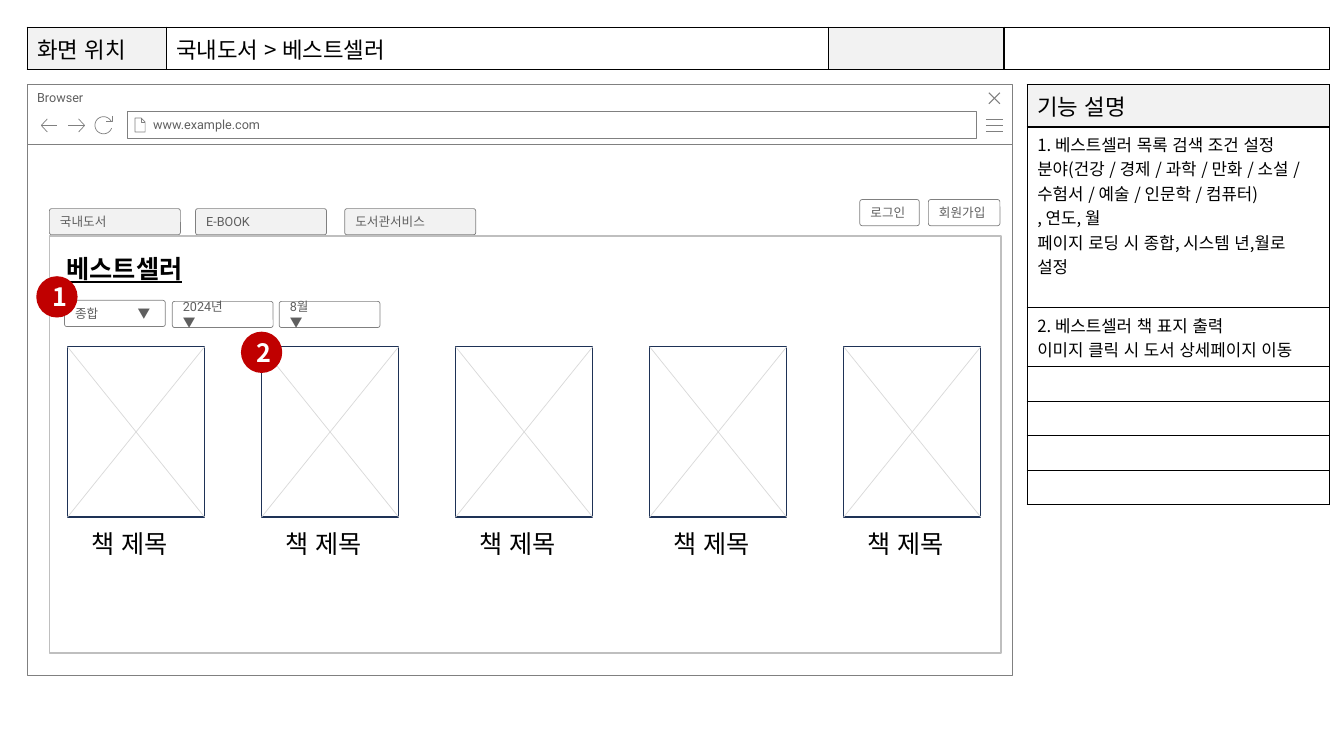
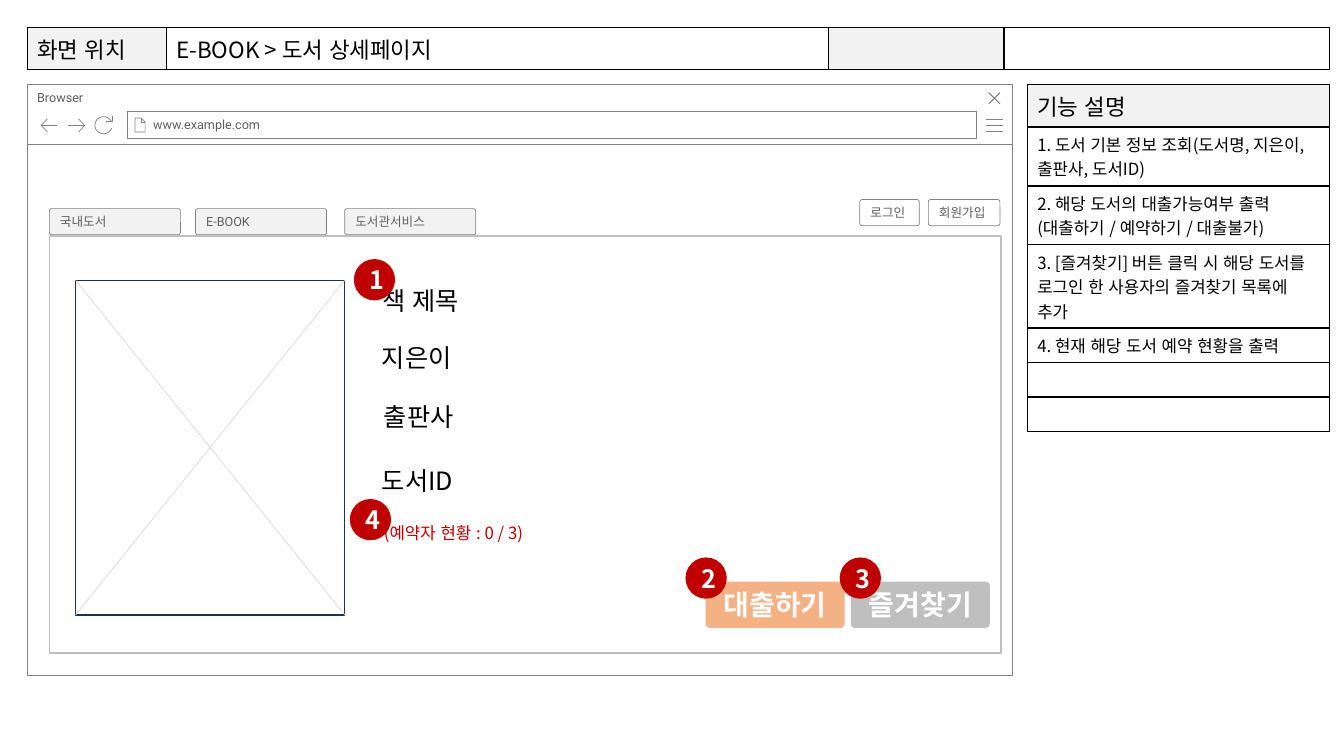
from math import cos, radians, sin

from lxml import etree
from pptx import Presentation
from pptx.dml.color import RGBColor
from pptx.enum.lang import MSO_LANGUAGE_ID
from pptx.enum.shapes import MSO_CONNECTOR, MSO_SHAPE
from pptx.enum.text import MSO_ANCHOR, MSO_AUTO_SIZE, PP_ALIGN
from pptx.oxml.ns import qn
from pptx.util import Inches, Pt

RECT = MSO_SHAPE.RECTANGLE
ROUND = MSO_SHAPE.ROUNDED_RECTANGLE
OVAL = MSO_SHAPE.OVAL
LINE = MSO_CONNECTOR.STRAIGHT
TOP = MSO_ANCHOR.TOP
MIDDLE = MSO_ANCHOR.MIDDLE
LEFT = PP_ALIGN.LEFT
CENTER = PP_ALIGN.CENTER
FIXED = MSO_AUTO_SIZE.NONE
KOREAN = MSO_LANGUAGE_ID.KOREAN

COLORS = {
    "ink": "000000", "white": "FFFFFF", "gray": "5F5F5F", "edge": "808080",
    "pale": "F2F2F2", "frame": "BFBFBF", "cross": "D9D9D9", "navy": "1E3256",
    "red": "C00000", "peach": "F4B183",
}
SANS = "Noto Sans CJK KR"
WEB = "Roboto"
TABLE_TOP = 8.4
HEAD_ROW = 4.2
TEXT_ROW = 2.42


def color(name):
    return RGBColor.from_string(COLORS[name])


def grid(cells):
    return Inches(cells / 10)


class Deck:
    def __init__(self):
        self.show = Presentation()
        self.show.slide_width = grid(133.33)
        self.show.slide_height = grid(75)
        self.shapes = None

    def fill_text(self, frame, text, size=9, ink="gray", face=WEB, bold=False,
                  under=False, align=LEFT, anchor=MIDDLE):
        frame.word_wrap = True
        frame.auto_size = FIXED
        frame.vertical_anchor = anchor
        self.style(frame.paragraphs[0], text, size, ink, face, bold, under, align)

    def style(self, para, text, size, ink="ink", face=SANS, bold=False,
              under=False, align=LEFT):
        para.text = text
        para.alignment = align
        font = para.font
        font.size, font.name = Pt(size), face
        font.bold, font.underline = bold, under
        font.language_id = KOREAN
        font.color.rgb = color(ink)
        base = para._p.pPr.find(qn("a:defRPr"))
        etree.SubElement(base, qn("a:ea"), typeface=SANS)
        if not text:
            etree.SubElement(para._p, qn("a:endParaRPr"), sz=str(size * 100))

    def paint(self, shape, fill=None, line=None, width=0.5):
        shape.shadow.inherit = False
        if fill:
            shape.fill.solid()
            shape.fill.fore_color.rgb = color(fill)
        else:
            shape.fill.background()
        if line:
            shape.line.color.rgb = color(line)
            shape.line.width = Pt(width)
        else:
            shape.line.fill.background()

    def box(self, x, y, w, h, fill=None, line="edge", width=0.5, kind=RECT):
        shape = self.shapes.add_shape(kind, grid(x), grid(y), grid(w), grid(h))
        self.paint(shape, fill, line, width)
        if kind == ROUND:
            shape.adjustments[0] = 0.09
        return shape

    def button(self, x, y, w, text, fill="white", h=2.6, line="edge", **style):
        shape = self.box(x, y, w, h, fill, line, kind=ROUND)
        self.fill_text(shape.text_frame, text, **style)
        return shape

    def pick(self, x, y, text, stop=None):
        shape = self.button(x, y, 10, text)
        if stop:
            props = shape.text_frame.paragraphs[0]._p.pPr
            tabs = etree.Element(qn("a:tabLst"))
            etree.SubElement(tabs, qn("a:tab"), pos=str(grid(stop)), algn="l")
            props.insert(0, tabs)

    def badge(self, x, y, num):
        shape = self.box(x, y, 4.1, 4.1, "red", None, kind=OVAL)
        self.fill_text(shape.text_frame, str(num), 18, "white", SANS, True,
                       align=CENTER)

    def label(self, x, y, w, text, size=18, ink="ink", h=4):
        shape = self.shapes.add_textbox(grid(x), grid(y), grid(w), grid(h))
        self.fill_text(shape.text_frame, text, size, ink, SANS, anchor=TOP)

    def title(self, x, y, w, text, **style):
        shape = self.shapes.title
        shape.element.getparent().append(shape.element)
        shape.left, shape.top = grid(x), grid(y)
        shape.width, shape.height = grid(w), grid(4)
        self.fill_text(shape.text_frame, text, 18, "ink", SANS, anchor=TOP, **style)

    def cover(self, x, y, w, h):
        self.box(x, y, w, h, line="navy", width=1)
        for start, end in ((x, x + w), (x + w, x)):
            line = self.shapes.add_connector(
                LINE, grid(start), grid(y), grid(end), grid(y + h))
            line.line.color.rgb = color("cross")
            line.line.width = Pt(0.5)
            etree.SubElement(line._element.spPr, qn("a:effectLst"))

    def icon(self, *strokes, close=False, width=0.5):
        strokes = [[(grid(x), grid(y)) for x, y in stroke] for stroke in strokes]
        pen = self.shapes.build_freeform(*strokes[0][0])
        for num, stroke in enumerate(strokes):
            if num:
                pen.move_to(*stroke[0])
            pen.add_line_segments(stroke[1:], close=close and num == 0)
        self.paint(pen.convert_to_shape(), line="edge", width=width)

    def table(self, x, y, cols, rows, cells, shade):
        table = self.shapes.add_table(
            len(rows), len(cols), grid(x), grid(y),
            grid(sum(cols)), grid(sum(rows))).table
        table.first_row = table.horz_banding = False
        for col, size in zip(table.columns, cols):
            col.width = grid(size)
        for row, size in zip(table.rows, rows):
            row.height = grid(size)
        for num, (cell, (text, size)) in enumerate(zip(table.iter_cells(), cells)):
            self.style(cell.text_frame.paragraphs[0], text, size)
            props = cell._tc.get_or_add_tcPr()
            for side in ("lnL", "lnR", "lnT", "lnB"):
                line = etree.SubElement(props, qn("a:" + side), w=str(Pt(1)))
                fill = etree.SubElement(line, qn("a:solidFill"))
                etree.SubElement(fill, qn("a:srgbClr"), val=COLORS["ink"])
            cell.fill.solid()
            cell.fill.fore_color.rgb = color("pale" if num in shade else "white")

    def browser(self):
        self.box(2.7, 14.3, 97.7, 52.7, "white")
        bar = self.box(2.7, 8.4, 97.7, 5.9, "white").text_frame
        self.fill_text(bar, "Browser", anchor=TOP)
        self.icon(*[[(97.8, y), (99.5, y)] for y in (11.8, 12.4, 13)])
        self.icon([(99.2, 9.2), (98.1, 10.3)], [(98.1, 9.2), (99.2, 10.3)], width=0.75)
        field = self.box(12.6, 11.1, 84.3, 2.6, "white").text_frame
        self.fill_text(field, "www.example.com")
        field.margin_left = grid(2.6)
        self.icon([(13.4, 11.7), (13.4, 13.1), (14.4, 13.1), (14.4, 12.1), (14, 11.7)],
                  [(14, 11.7), (14, 12.1), (14.4, 12.1)], close=True)
        for tip, turn, tail in ((4.1, 4.7, 5.7), (8.4, 7.8, 6.7)):
            self.icon([(turn, 13.1), (tip, 12.45), (turn, 11.8)],
                      [(tip, 12.45), (tail, 12.45)])
        arc = [(10.27 + 0.85 * cos(radians(a)), 12.43 + 0.85 * sin(radians(a)))
               for a in range(20, 331, 10)]
        self.icon([(11.1, 11.5), (11.1, 12), (10.5, 12)], arc)

    def page(self, place, notes):
        layout = self.show.slide_layouts[5]
        self.shapes = self.show.slides.add_slide(layout).shapes
        self.browser()
        rows = [HEAD_ROW] + [1 + TEXT_ROW * count for text, count in notes]
        cells = [("기능 설명", 16)] + [(text, 12) for text, count in notes]
        self.table(101.9, TABLE_TOP, [30], rows, cells, {0})
        self.table(2.7, 2.7, [13.8, 65.7, 17.4, 32.3], [4.2],
                   [("화면 위치", 16), (place, 16), ("", 16), ("", 16)], {0, 2})
        for x, w, text in ((85.3, 5.9, "로그인"), (92.1, 7.1, "회원가입")):
            self.button(x, 19.8, w, text)
        tabs = ((4.9, "국내도서"), (19.4, "E-BOOK"), (34.2, "도서관서비스"))
        for x, text in tabs:
            self.button(x, 20.7, 13, text, "pale")
        self.box(4.9, 23.4, 94.4, 41.4, line="frame", width=1)


def best(deck):
    deck.page("국내도서 > 베스트셀러", [
        ("1. 베스트셀러 목록 검색 조건 설정\n"
         "분야(건강 / 경제 / 과학 / 만화 / 소설 / 수험서 / 예술 / 인문학 / 컴퓨터)\n"
         ", 연도, 월\n페이지 로딩 시 종합, 시스템 년,월로 설정", 7),
        ("2. 베스트셀러 책 표지 출력\n이미지 클릭 시 도서 상세페이지 이동", 2),
    ] + [("", 1)] * 4)
    deck.title(5.6, 24.6, 14.6, "베스트셀러", bold=True, under=True)
    deck.pick(6.4, 29.8, "종합\t▼", stop=6.2)
    deck.pick(17.1, 29.9, "2024년\n▼")
    deck.pick(27.7, 29.9, "8월\n▼")
    for num in range(5):
        x = 6.7 + 19.25 * num
        deck.cover(x, 34.4, 13.6, 16.9)
        deck.label(x + 1.35, 51.9, 10.9, "책 제목")
    deck.badge(3.6, 27.4, 1)
    deck.badge(23.9, 32.9, 2)


def detail(deck):
    deck.page("E-BOOK > 도서 상세페이지", [
        ("1. 도서 기본 정보 조회(도서명, 지은이, 출판사, 도서ID)", 2),
        ("2. 해당 도서의 대출가능여부 출력\n(대출하기 / 예약하기 / 대출불가)", 2),
        ("3. [즐겨찾기] 버튼 클릭 시 해당 도서를 로그인 한 사용자의 즐겨찾기 목록에 추가", 3),
        ("4. 현재 해당 도서 예약 현황을 출력", 1),
    ] + [("", 1)] * 2)
    deck.cover(7.5, 27.8, 26.7, 33.2)
    deck.title(36.9, 27.8, 10.9, "책 제목")
    for x, y, text in ((36.9, 33.5, "지은이"), (37.1, 39.3, "출판사"),
                       (36.9, 45.7, "도서ID")):
        deck.label(x, y, 10.9, text)
    for x, text, fill in ((70, "대출하기", "peach"), (84.4, "즐겨찾기", "frame")):
        deck.button(x, 57.7, 13.8, text, fill, h=4.6, line=None,
                    size=20, ink="white", bold=True, align=CENTER)
    for num, (x, y) in enumerate(
            ((35.1, 25.7), (68, 55.3), (83.3, 55.3), (34.7, 49.5)), 1):
        deck.badge(x, y, num)
    deck.label(37.1, 51.4, 18.1, "(예약자 현황 : 0 / 3)", 12, "red", 3)


def main():
    deck = Deck()
    best(deck)
    detail(deck)
    deck.show.save("out.pptx")


if __name__ == "__main__":
    main()
